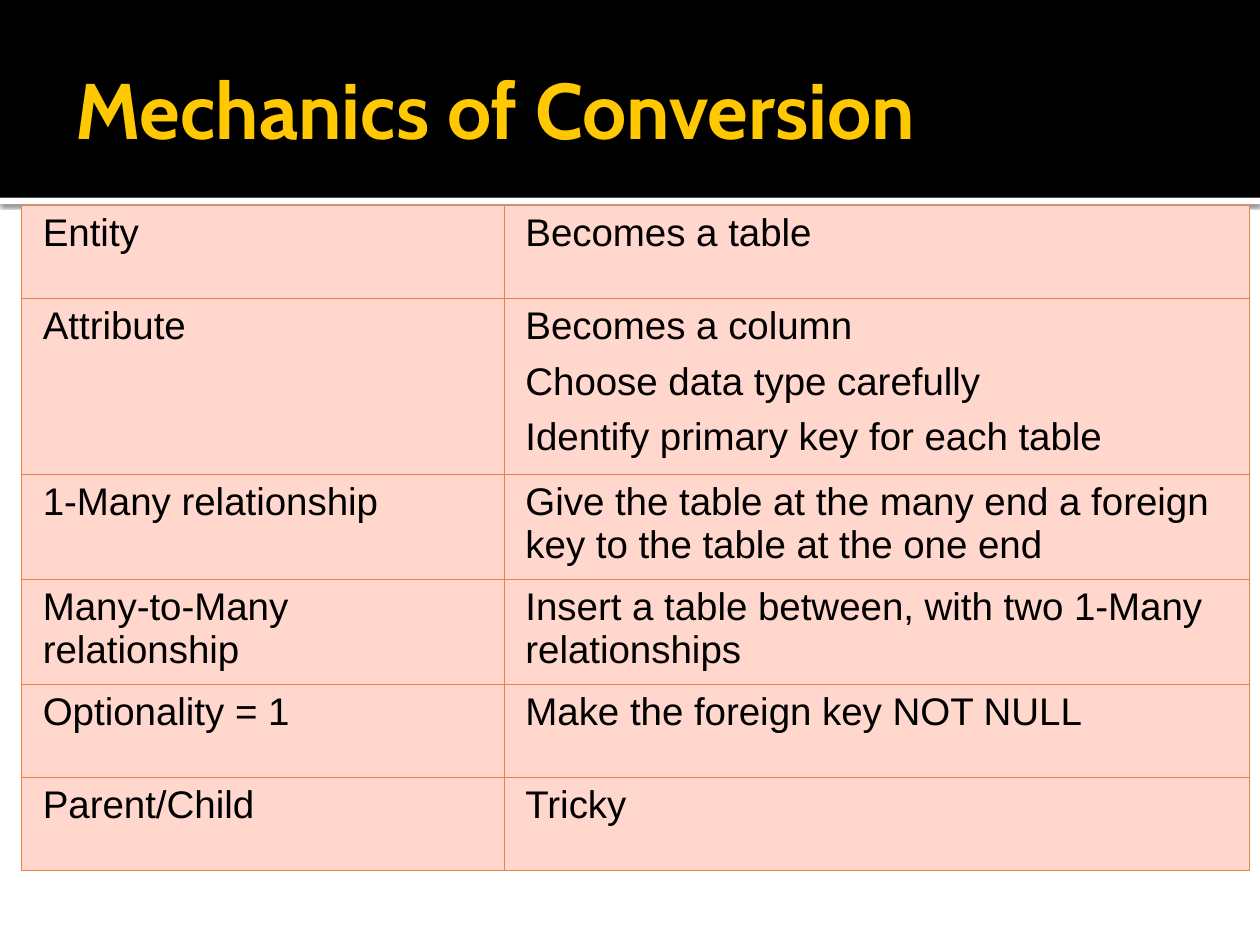
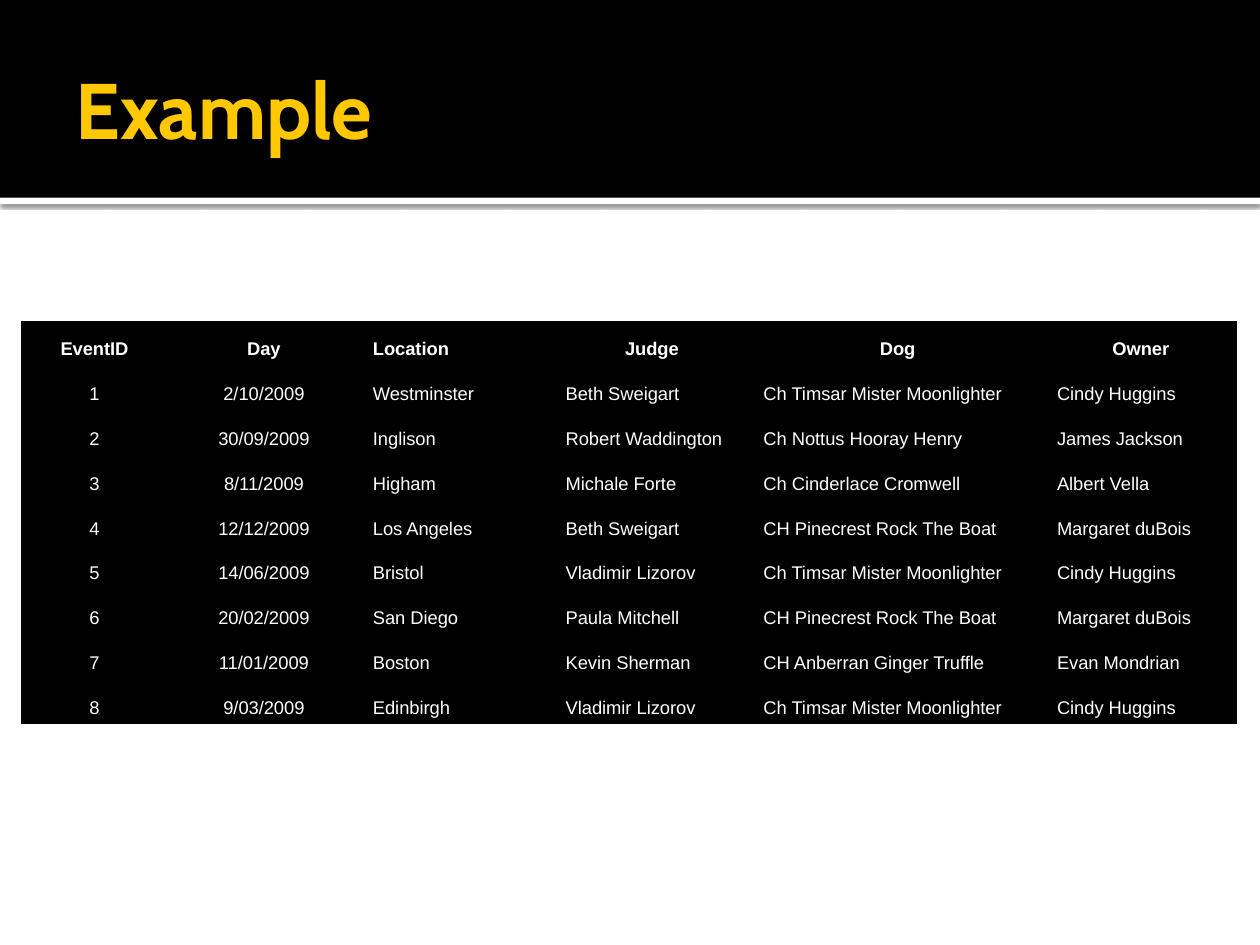
from dataclasses import dataclass

from lxml import etree
from pptx import Presentation
from pptx.dml.color import RGBColor
from pptx.enum.shapes import MSO_SHAPE
from pptx.enum.text import MSO_ANCHOR, PP_ALIGN
from pptx.oxml.ns import qn
from pptx.util import Inches, Pt

RECTANGLE = MSO_SHAPE.RECTANGLE
TOP, MIDDLE, BOTTOM = MSO_ANCHOR.TOP, MSO_ANCHOR.MIDDLE, MSO_ANCHOR.BOTTOM
LEFT, CENTER = PP_ALIGN.LEFT, PP_ALIGN.CENTER
PLAIN_TABLE_STYLE = "{2D5ABB26-0587-4C30-8999-92F81FD0307C}"


@dataclass(frozen=True)
class Theme:
    black: str = "000000"
    white: str = "FFFFFF"
    gold: str = "FFC800"
    peach: str = "FFD7CC"
    orange: str = "E7824C"
    title_font: str = "Cabin"
    body_font: str = "Arial"
    title_size: float = 45
    rule_size: float = 22
    event_size: float = 10.5
    rule_gap: float = 7
    border_width: float = 0.5


THEME = Theme()

CONVERSION_RULES = [
    ("Entity", "Becomes a table"),
    ("Attribute", "Becomes a column\nChoose data type carefully\n"
                  "Identify primary key for each table"),
    ("1-Many relationship",
     "Give the table at the many end a foreign key to the table at the one end"),
    ("Many-to-Many relationship",
     "Insert a table between, with two 1-Many relationships"),
    ("Optionality = 1", "Make the foreign key NOT NULL"),
    ("Parent/Child", "Tricky"),
]

EVENTS = [
    ("EventID", "Day", "Location", "Judge", "Dog", "Owner"),
    ("1", "2/10/2009", "Westminster", "Beth Sweigart",
     "Ch Timsar Mister Moonlighter", "Cindy Huggins"),
    ("2", "30/09/2009", "Inglison", "Robert Waddington",
     "Ch Nottus Hooray Henry", "James Jackson"),
    ("3", "8/11/2009", "Higham", "Michale Forte",
     "Ch Cinderlace Cromwell", "Albert Vella"),
    ("4", "12/12/2009", "Los Angeles", "Beth Sweigart",
     "CH Pinecrest Rock The Boat", "Margaret duBois"),
    ("5", "14/06/2009", "Bristol", "Vladimir Lizorov",
     "Ch Timsar Mister Moonlighter", "Cindy Huggins"),
    ("6", "20/02/2009", "San Diego", "Paula Mitchell",
     "CH Pinecrest Rock The Boat", "Margaret duBois"),
    ("7", "11/01/2009", "Boston", "Kevin Sherman",
     "CH Anberran Ginger Truffle", "Evan Mondrian"),
    ("8", "9/03/2009", "Edinbirgh", "Vladimir Lizorov",
     "Ch Timsar Mister Moonlighter", "Cindy Huggins"),
]


def style_text(para, font, size, color, bold=False, align=LEFT):
    para.alignment = align
    for span in para.runs:
        span.font.name = font
        span.font.size = Pt(size)
        span.font.color.rgb = RGBColor.from_string(color)
        span.font.bold = bold


def add_color(parent, color):
    return etree.SubElement(parent, qn("a:srgbClr"), val=color)


# Shared header: two bands and a title
def add_band(page, top, height, color):
    band = page.shapes.add_shape(RECTANGLE, 0, Inches(top), Inches(10), Inches(height))
    band.shadow.inherit = False
    band.fill.solid()
    band.fill.fore_color.rgb = RGBColor.from_string(color)
    band.line.fill.background()
    return band


def add_soft_shadow(shape):
    effects = shape._element.spPr.find(qn("a:effectLst"))
    shadow = etree.SubElement(effects, qn("a:outerShdw"), blurRad=str(Pt(2.5)),
                              dist=str(Pt(0.8)), dir="5400000", rotWithShape="0")
    etree.SubElement(add_color(shadow, THEME.black), qn("a:alpha"), val="60000")


def add_page(deck, title):
    page = deck.slides.add_slide(deck.slide_layouts[6])
    add_soft_shadow(add_band(page, 1.57, 0.05, THEME.white))
    add_band(page, 0, 1.57, THEME.black)
    box = page.shapes.add_textbox(Inches(0.5), Inches(0.17), Inches(9), Inches(1.37))
    frame = box.text_frame
    frame.word_wrap = True
    frame.vertical_anchor = MIDDLE
    frame.text = title
    style_text(frame.paragraphs[0], THEME.title_font, THEME.title_size, THEME.gold, True)
    return page


# Tables
def add_plain_table(page, top, columns, heights, rows, fill, anchor):
    frame = page.shapes.add_table(len(rows), len(columns), Inches(0.17), Inches(top),
                                  Inches(sum(columns)), Inches(sum(heights)))
    table = frame.table
    table._tbl.tblPr.find(qn("a:tableStyleId")).text = PLAIN_TABLE_STYLE
    table.first_row = table.horz_banding = False
    for column, width in zip(table.columns, columns):
        column.width = Inches(width)
    for row, height, texts in zip(table.rows, heights, rows):
        row.height = Inches(height)
        for cell, text in zip(row.cells, texts):
            cell.text_frame.text = text
            cell.vertical_anchor = anchor
            cell.fill.solid()
            cell.fill.fore_color.rgb = RGBColor.from_string(fill)
    return table


def add_borders(cell):
    properties = cell._tc.get_or_add_tcPr()
    for position, side in enumerate(("lnL", "lnR", "lnT", "lnB")):
        line = etree.Element(qn(f"a:{side}"), w=str(Pt(THEME.border_width)))
        add_color(etree.SubElement(line, qn("a:solidFill")), THEME.orange)
        properties.insert(position, line)


def add_rules_table(page):
    heights = [0.74, 1.32, 0.79, 0.79, 0.74, 0.74]
    table = add_plain_table(page, 1.63, [3.83, 5.92], heights,
                            CONVERSION_RULES, THEME.peach, TOP)
    for cell in table.iter_cells():
        add_borders(cell)
        for para in cell.text_frame.paragraphs:
            style_text(para, THEME.body_font, THEME.rule_size, THEME.black)
            para.space_before = Pt(THEME.rule_gap)
            para._p.get_or_add_pPr().set("marL", str(Inches(0.07)))


def add_events_table(page):
    columns = [1.16, 1.53, 1.53, 1.57, 2.33, 1.53]
    heights = [3.2 / len(EVENTS)] * len(EVENTS)
    table = add_plain_table(page, 2.55, columns, heights, EVENTS, THEME.black, BOTTOM)
    for row_index, row in enumerate(table.rows):
        is_header = row_index == 0
        for column_index, cell in enumerate(row.cells):
            centred = column_index < 2 or (is_header and column_index != 2)
            style_text(cell.text_frame.paragraphs[0], THEME.body_font, THEME.event_size,
                       THEME.white, is_header, CENTER if centred else LEFT)


def main():
    deck = Presentation()
    deck.slide_width, deck.slide_height = Inches(10), Inches(7.5)
    add_rules_table(add_page(deck, "Mechanics of Conversion"))
    add_events_table(add_page(deck, "Example"))
    deck.save("out.pptx")


if __name__ == "__main__":
    main()
